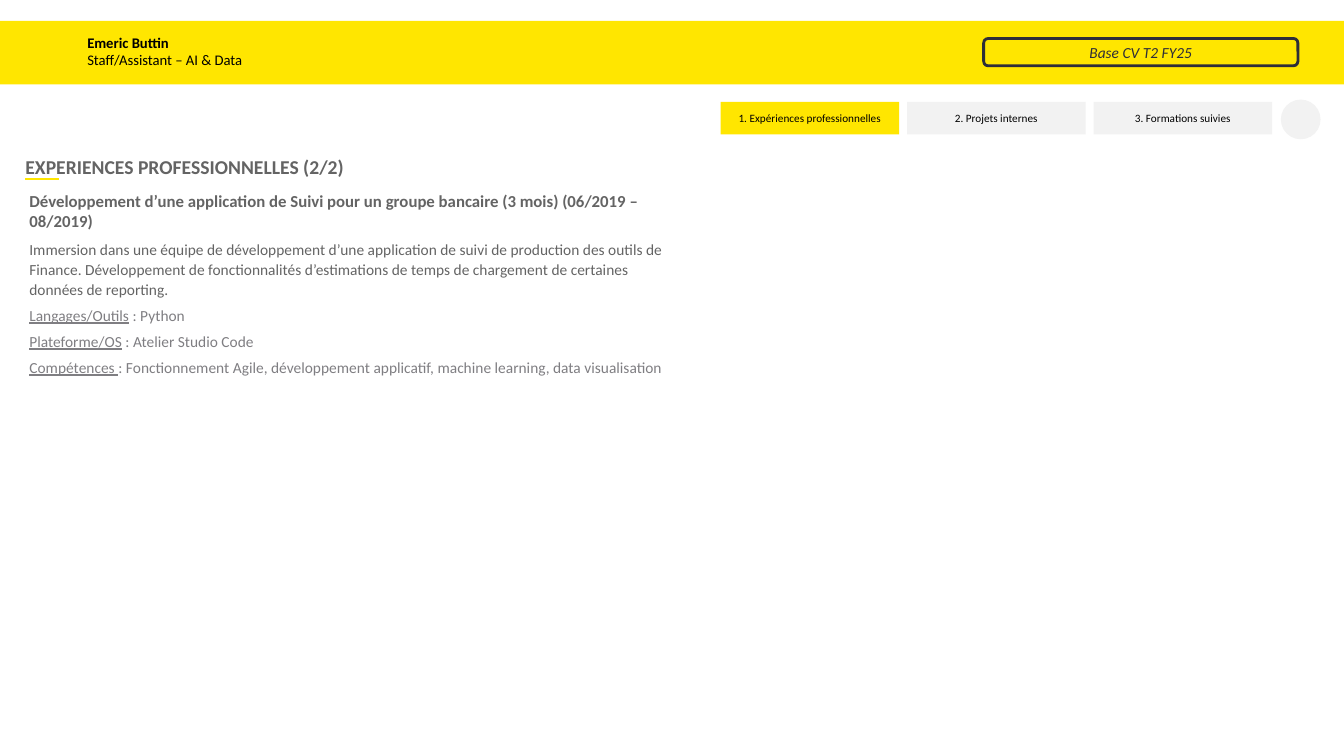
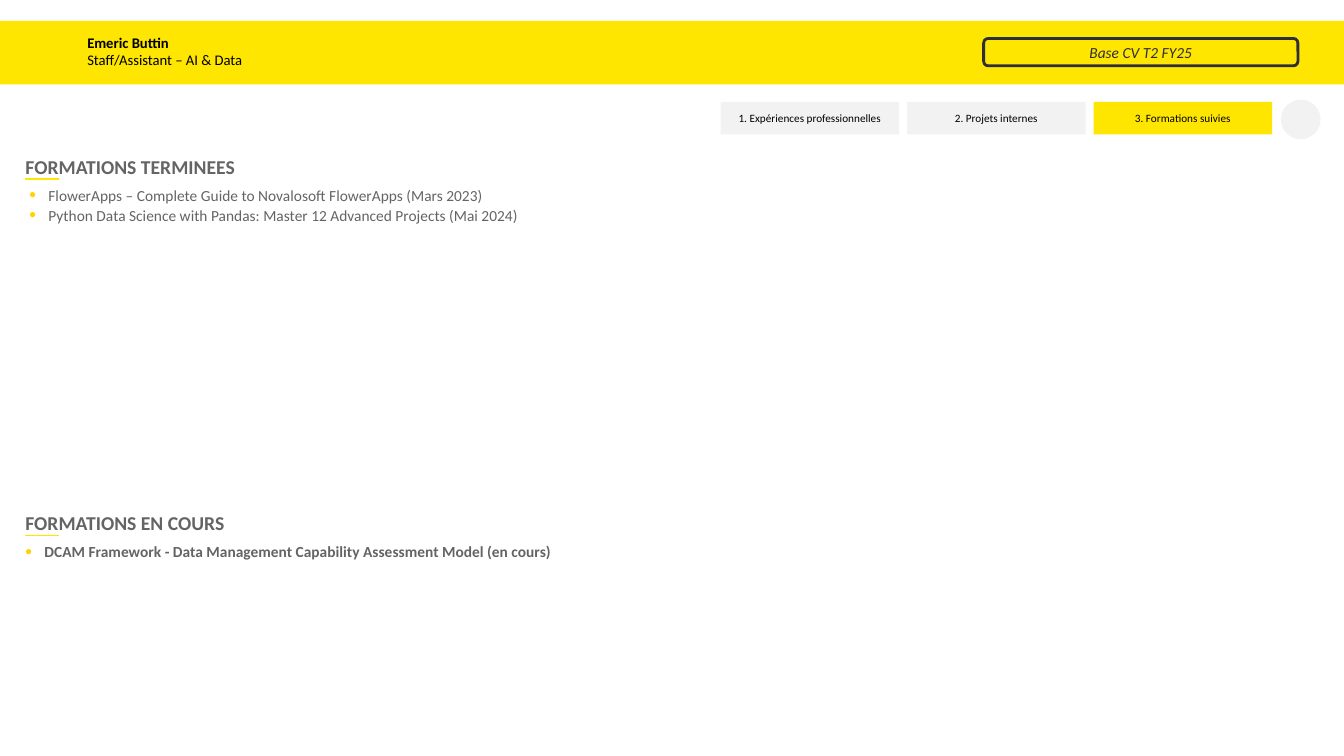
from lxml import etree
from pptx import Presentation
from pptx.dml.color import RGBColor
from pptx.enum.shapes import MSO_CONNECTOR, MSO_SHAPE
from pptx.enum.text import MSO_ANCHOR, MSO_AUTO_SIZE, PP_ALIGN
from pptx.oxml.ns import qn
from pptx.util import Cm, Pt

RECT, ROUNDED, OVAL = MSO_SHAPE.RECTANGLE, MSO_SHAPE.ROUNDED_RECTANGLE, MSO_SHAPE.OVAL
STRAIGHT = MSO_CONNECTOR.STRAIGHT
LEFT, CENTER = PP_ALIGN.LEFT, PP_ALIGN.CENTER
TOP, MIDDLE = MSO_ANCHOR.TOP, MSO_ANCHOR.MIDDLE
NO_AUTOFIT = MSO_AUTO_SIZE.NONE

FONT = "Calibri"
YELLOW, GOLD, PALE = "FFE600", "FFD200", "F2F2F2"
BLACK, DARK, GREY, LIGHT_GREY = "000000", "2E2E38", "646464", "7F7E82"
WIDTH, HEIGHT = 33.87, 19.05
TABS = ("1. Expériences professionnelles", "2. Projets internes", "3. Formations suivies")
TITLE_ONE_BODY, TITLE_TWO_BODIES = 1, 3


def rgb(value):
    return RGBColor.from_string(value)


class Resume:
    def __init__(self):
        self.deck = Presentation()
        self.deck.slide_width, self.deck.slide_height = Cm(WIDTH), Cm(HEIGHT)
        self.slide = None

    def add_slide(self, layout, active_tab):
        self.slide = self.deck.slides.add_slide(self.deck.slide_layouts[layout])
        self.banner()
        self.navigation(active_tab)

    def place(self, holder, left, top, width, height):
        holder.left, holder.top = Cm(left), Cm(top)
        holder.width, holder.height = Cm(width), Cm(height)

    def frame(self, holder, anchor=MIDDLE, left=0):
        frame = holder.text_frame
        frame.word_wrap = True
        frame.auto_size = NO_AUTOFIT
        frame.vertical_anchor = anchor
        frame.margin_left = Cm(left)
        frame.margin_top = frame.margin_right = frame.margin_bottom = 0
        return frame

    def style(self, paragraph, size, color, bold=False, italic=False, align=LEFT):
        paragraph.alignment = align
        font = paragraph.font
        font.name, font.size, font.bold, font.italic = FONT, Pt(size), bold, italic
        font.color.rgb = rgb(color)

    def shape(self, kind, left, top, width, height, fill=None):
        shape = self.slide.shapes.add_shape(kind, Cm(left), Cm(top), Cm(width), Cm(height))
        shape.shadow.inherit = False
        shape.line.fill.background()
        if fill:
            shape.fill.solid()
            shape.fill.fore_color.rgb = rgb(fill)
        else:
            shape.fill.background()
        return shape

    def label(self, shape, text, size, color, italic=False):
        paragraph = self.frame(shape).paragraphs[0]
        paragraph.text = text
        self.style(paragraph, size, color, italic=italic, align=CENTER)

    def banner(self):
        band = self.shape(RECT, 0, 0.53, WIDTH, 1.6, YELLOW)
        frame = self.frame(band, left=2.2)
        frame.margin_bottom = Cm(0.08)
        name, role = frame.paragraphs[0], frame.add_paragraph()
        name.text, role.text = "Emeric Buttin", "Staff/Assistant – AI & Data"
        self.style(name, 10.5, BLACK, bold=True)
        self.style(role, 10.5, BLACK)
        badge = self.shape(ROUNDED, 24.79, 0.97, 7.92, 0.69)
        badge.line.color.rgb = rgb(DARK)
        badge.line.width = Pt(2)
        self.label(badge, "Base CV T2 FY25", 11, DARK, italic=True)

    def navigation(self, active_tab):
        for index, text in enumerate(TABS):
            fill = YELLOW if index == active_tab else PALE
            tab = self.shape(RECT, 18.16 + 4.7 * index, 2.57, 4.5, 0.82, fill)
            self.label(tab, text, 8, BLACK)
        self.shape(OVAL, 32.28, 2.51, 1, 1, PALE)

    def heading(self, text, top, holder=None):
        holder = holder or self.slide.shapes.add_textbox(0, 0, 0, 0)
        self.place(holder, 0.64, top, 15.9, 0.66)
        paragraph = self.frame(holder).paragraphs[0]
        paragraph.text = text
        self.style(paragraph, 14, GREY, bold=True)
        underline = self.slide.shapes.add_connector(
            STRAIGHT, Cm(0.64), Cm(top + 0.65), Cm(1.48), Cm(top + 0.65))
        underline.line.color.rgb = rgb(YELLOW)
        underline.line.width = Pt(1)
        etree.SubElement(underline._element.spPr, qn("a:effectLst"))

    def columns(self, holder, left, top, width, height):
        self.place(holder, left, top, width, height)
        frame = self.frame(holder, TOP)
        properties = frame._txBody.bodyPr
        properties.set("numCol", "2")
        properties.set("spcCol", str(Cm(0.2)))
        return frame

    def paragraph(self, frame, index, spacing, after, bullet=False):
        paragraph = frame.add_paragraph() if index else frame.paragraphs[0]
        paragraph.line_spacing = spacing
        paragraph.space_before, paragraph.space_after = Pt(0), Pt(after)
        properties = paragraph._p.get_or_add_pPr()
        indent = Cm(0.48) if bullet else 0
        properties.set("marL", str(indent))
        properties.set("indent", str(-indent))
        if bullet:
            color = etree.SubElement(properties, qn("a:buClr"))
            etree.SubElement(color, qn("a:srgbClr"), val=GOLD)
            etree.SubElement(properties, qn("a:buSzPct"), val="125000")
            etree.SubElement(properties, qn("a:buChar"), char="•")
        else:
            etree.SubElement(properties, qn("a:buNone"))
        return paragraph

    def bullets(self, holder, box, items, bold=False):
        frame = self.columns(holder, *box)
        for index, item in enumerate(items):
            paragraph = self.paragraph(frame, index, Pt(9.8), 4.5, bullet=True)
            paragraph.text = item
            self.style(paragraph, 11, GREY, bold)

    def mission(self, holder, box, title, summary, details):
        frame = self.columns(holder, *box)
        lead = self.paragraph(frame, 0, 1.0, 6)
        lead.text = title
        self.style(lead, 12, GREY, bold=True)
        description = self.paragraph(frame, 1, 1.07, 4.5)
        description.text = summary
        self.style(description, 11, GREY)
        for index, (term, value) in enumerate(details, 2):
            detail = self.paragraph(frame, index, 1.07, 4.5)
            self.style(detail, 11, LIGHT_GREY)
            term_run = detail.add_run()
            term_run.text = term
            term_run.font.underline = True
            detail.add_run().text = value


def main():
    resume = Resume()

    resume.add_slide(TITLE_ONE_BODY, active_tab=0)
    title, body = resume.slide.placeholders
    resume.heading("EXPERIENCES PROFESSIONNELLES (2/2)", 3.86, title)
    resume.mission(
        body, (0.74, 4.8, 32.49, 13.72),
        "Développement d’une application de Suivi pour un groupe bancaire (3 mois) "
        "(06/2019 – 08/2019)",
        "Immersion dans une équipe de développement d’une application de suivi de production "
        "des outils de Finance. Développement de fonctionnalités d’estimations de temps de "
        "chargement de certaines données de reporting.",
        (("Langages/Outils", " : Python"),
         ("Plateforme/OS", " : Atelier Studio Code"),
         ("Compétences ", ": Fonctionnement Agile, développement applicatif, "
                          "machine learning, data visualisation")))

    resume.add_slide(TITLE_TWO_BODIES, active_tab=2)
    title, completed, ongoing = resume.slide.placeholders
    resume.heading("FORMATIONS TERMINEES", 3.86, title)
    resume.bullets(completed, (0.74, 4.8, 32.54, 7.92), (
        "FlowerApps – Complete Guide to Novalosoft FlowerApps (Mars 2023)",
        "Python Data Science with Pandas: Master 12 Advanced Projects (Mai 2024)"))
    resume.heading("FORMATIONS EN COURS", 12.85)
    resume.bullets(ongoing, (0.64, 13.79, 32.54, 4.29), (
        "DCAM Framework - Data Management Capability Assessment Model (en cours)",), bold=True)

    resume.deck.save("out.pptx")


if __name__ == "__main__":
    main()
